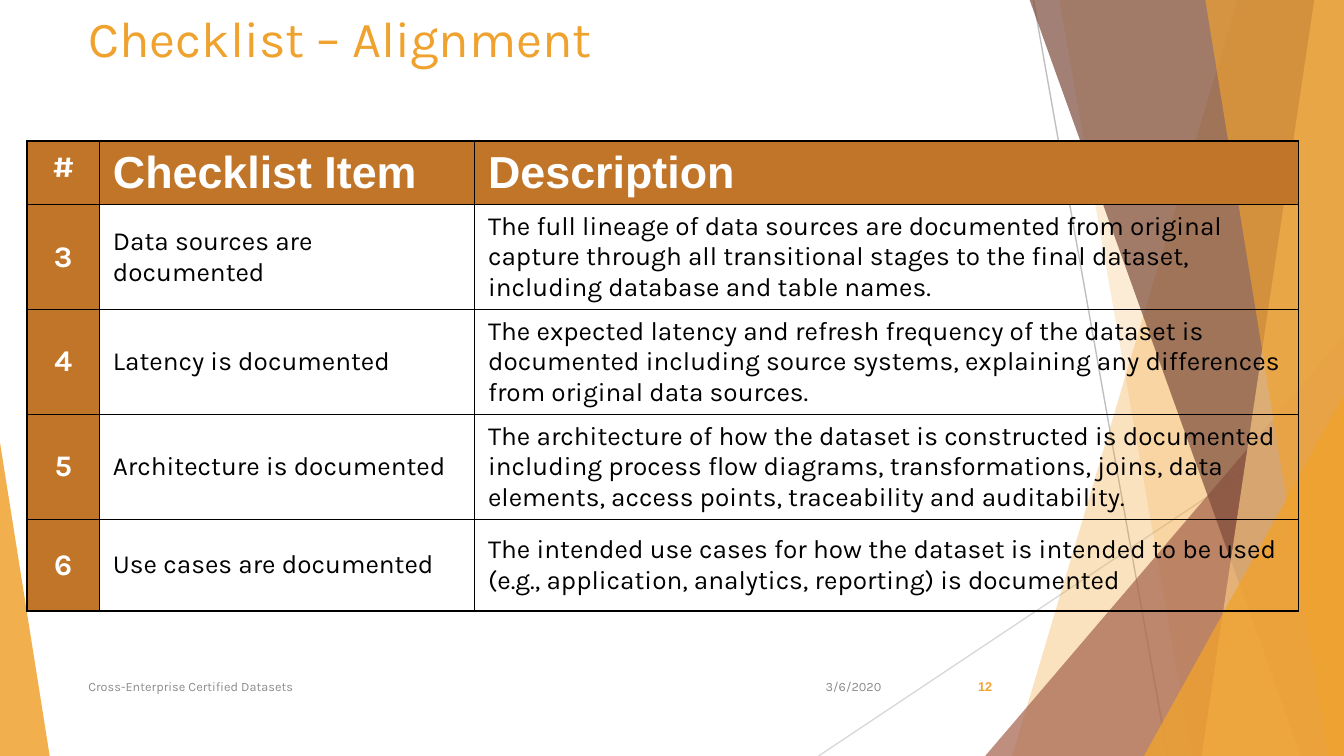
from lxml import etree
from pptx import Presentation
from pptx.dml.color import RGBColor
from pptx.enum.shapes import MSO_CONNECTOR, MSO_SHAPE
from pptx.enum.text import MSO_ANCHOR, MSO_AUTO_SIZE, PP_ALIGN
from pptx.oxml.ns import qn
from pptx.util import Cm, Pt

STRAIGHT = MSO_CONNECTOR.STRAIGHT
TRIANGLE = MSO_SHAPE.ISOSCELES_TRIANGLE
TOP, MIDDLE = MSO_ANCHOR.TOP, MSO_ANCHOR.MIDDLE
LEFT, CENTER, RIGHT = PP_ALIGN.LEFT, PP_ALIGN.CENTER, PP_ALIGN.RIGHT
NO_AUTOFIT = MSO_AUTO_SIZE.NONE

COLORS = {
    "amber": "F0A22E",
    "sand": "F6C782",
    "clay": "A5644E",
    "brown": "7C4B3B",
    "header": "C17529",
    "white": "FFFFFF",
    "black": "000000",
    "footer": "8C8C8C",
    "line": "BFBFBF",
    "light_line": "D9D9D9",
}
SLIDE_WIDTH, SLIDE_HEIGHT = 25.4, 14.29
COLUMN_WIDTHS = [1.37, 7.09, 15.57]
HEADER_HEIGHT, ROW_HEIGHT = 1.14, 1.73
HEADINGS = ["#", "Checklist Item", "Description"]
CHECKLIST = [
    ("3", "Data sources are documented",
     "The full lineage of data sources are documented from original capture through all "
     "transitional stages to the final dataset, including database and table names."),
    ("4", "Latency is documented",
     "The expected latency and refresh frequency of the dataset is documented including "
     "source systems, explaining any differences from original data sources."),
    ("5", "Architecture is documented",
     "The architecture of how the dataset is constructed is documented including process "
     "flow diagrams, transformations, joins, data elements, access points, traceability "
     "and auditability."),
    ("6", "Use cases are documented",
     "The intended use cases for how the dataset is intended to be used (e.g., "
     "application, analytics, reporting) is documented"),
]


def rgb(name):
    return RGBColor.from_string(COLORS[name])


def write_text(text_frame, text, size, color, font="Karla", bold=False, align=LEFT):
    paragraph = text_frame.paragraphs[0]
    paragraph.alignment = align
    run = paragraph.add_run()
    run.text = text
    run.font.name = font
    run.font.size = Pt(size)
    run.font.bold = bold
    run.font.color.rgb = rgb(color)


def paint(shape, color, opacity):
    shape.shadow.inherit = False
    shape.line.fill.background()
    shape.fill.solid()
    shape.fill.fore_color.rgb = rgb(color)
    solid_color = shape.fill._xPr.find(qn("a:solidFill"))[0]
    etree.SubElement(solid_color, qn("a:alpha"), val=str(opacity * 1000))


def add_ray(slide, start, end, color):
    connector = slide.shapes.add_connector(STRAIGHT, *map(Cm, start + end))
    connector.line.color.rgb = rgb(color)
    connector.line.width = Pt(0.75)
    etree.SubElement(connector._element.spPr, qn("a:effectLst"))


def add_facet(slide, top_x, bottom_x, right, bottom, color, opacity):
    corners = [(right, 0), (right, bottom), (bottom_x, bottom)]
    builder = slide.shapes.build_freeform(Cm(top_x), 0)
    builder.add_line_segments([(Cm(x), Cm(y)) for x, y in corners], close=True)
    paint(builder.convert_to_shape(), color, opacity)


def add_wedge(slide, left, top, right, bottom, apex, color, opacity):
    box = (left, top, right - left, bottom - top)
    shape = slide.shapes.add_shape(TRIANGLE, *map(Cm, box))
    shape.adjustments[0] = apex
    paint(shape, color, opacity)


def draw_backdrop(slide, right, bottom):
    add_ray(slide, (19.53, 0), (22.07, bottom), "line")
    add_ray(slide, (right, 7.67), (15.47, bottom), "light_line")
    add_facet(slide, 23.39, 19.13, right, bottom, "amber", 30)
    add_facet(slide, 20.02, 22.53, right, bottom, "amber", 20)
    add_wedge(slide, 18.62, 6.35, right, bottom, 1, "clay", 72)
    add_facet(slide, 19.46, 24.59, right, bottom, "brown", 70)
    add_facet(slide, 24.84, 22.71, right, bottom, "sand", 70)
    add_facet(slide, 22.78, 25.1, right, bottom, "amber", 65)
    add_wedge(slide, 21.62, 7.47, right, bottom, 1, "amber", 80)
    add_wedge(slide, 0, 8.36, 0.94, bottom, 0, "amber", 85)


def place_title(slide, left, top, width, height):
    title = slide.shapes.title
    title.left, title.top, title.width, title.height = map(Cm, (left, top, width, height))
    text_frame = title.text_frame
    text_frame.auto_size = NO_AUTOFIT
    text_frame.word_wrap = True
    text_frame.vertical_anchor = TOP
    write_text(text_frame, "Checklist – Alignment", 27, "amber")


def add_borders(cell):
    properties = cell._tc.get_or_add_tcPr()
    for side in ("lnL", "lnR", "lnT", "lnB"):
        border = etree.SubElement(properties, qn(f"a:{side}"), w=str(Pt(1)))
        fill = etree.SubElement(border, qn("a:solidFill"))
        etree.SubElement(fill, qn("a:srgbClr"), val=COLORS["black"])


def format_cell(cell, row, column, text):
    add_borders(cell)
    is_header, is_number = row == 0, column == 0
    if is_header or is_number:
        cell.fill.solid()
        cell.fill.fore_color.rgb = rgb("header")
    else:
        cell.fill.background()
    cell.vertical_anchor = TOP if is_header else MIDDLE
    if is_number:
        size = 18 if is_header else 16
        write_text(cell.text_frame, text, size, "white", bold=True, align=CENTER)
    elif is_header:
        write_text(cell.text_frame, text, 24, "white", font="Arial", bold=True)
    else:
        write_text(cell.text_frame, text, 14, "black")


def add_checklist(slide, left, top):
    rows = [HEADINGS, *CHECKLIST]
    heights = [HEADER_HEIGHT] + [ROW_HEIGHT] * len(CHECKLIST)
    box = (left, top, sum(COLUMN_WIDTHS), sum(heights))
    table = slide.shapes.add_table(len(rows), len(HEADINGS), *map(Cm, box)).table
    table.first_row = table.horz_banding = False
    for column, width in zip(table.columns, COLUMN_WIDTHS):
        column.width = Cm(width)
    for row, height in zip(table.rows, heights):
        row.height = Cm(height)
    for row, texts in enumerate(rows):
        for column, text in enumerate(texts):
            format_cell(table.cell(row, column), row, column, text)


def add_footer(slide, top, height):
    items = [
        (17.91, 1.42, "12", "amber", "Arial", True, CENTER),
        (15.01, 1.9, "3/6/2020", "footer", "Karla", False, RIGHT),
        (1.42, 13.13, "Cross-Enterprise Certified Datasets", "footer", "Karla", False, LEFT),
    ]
    for left, width, text, color, font, bold, align in items:
        box = slide.shapes.add_textbox(Cm(left), Cm(top), Cm(width), Cm(height))
        box.text_frame.word_wrap = True
        box.text_frame.vertical_anchor = MIDDLE
        write_text(box.text_frame, text, 6.8, color, font, bold, align)


def main():
    presentation = Presentation()
    presentation.slide_width = Cm(SLIDE_WIDTH)
    presentation.slide_height = Cm(SLIDE_HEIGHT)
    slide = presentation.slides.add_slide(presentation.slide_layouts[5])
    draw_backdrop(slide, SLIDE_WIDTH, SLIDE_HEIGHT)
    place_title(slide, 1.42, 0, 17.91, 2.74)
    add_checklist(slide, 0.51, 2.67)
    add_footer(slide, 12.6, 0.76)
    presentation.save("out.pptx")


if __name__ == "__main__":
    main()
